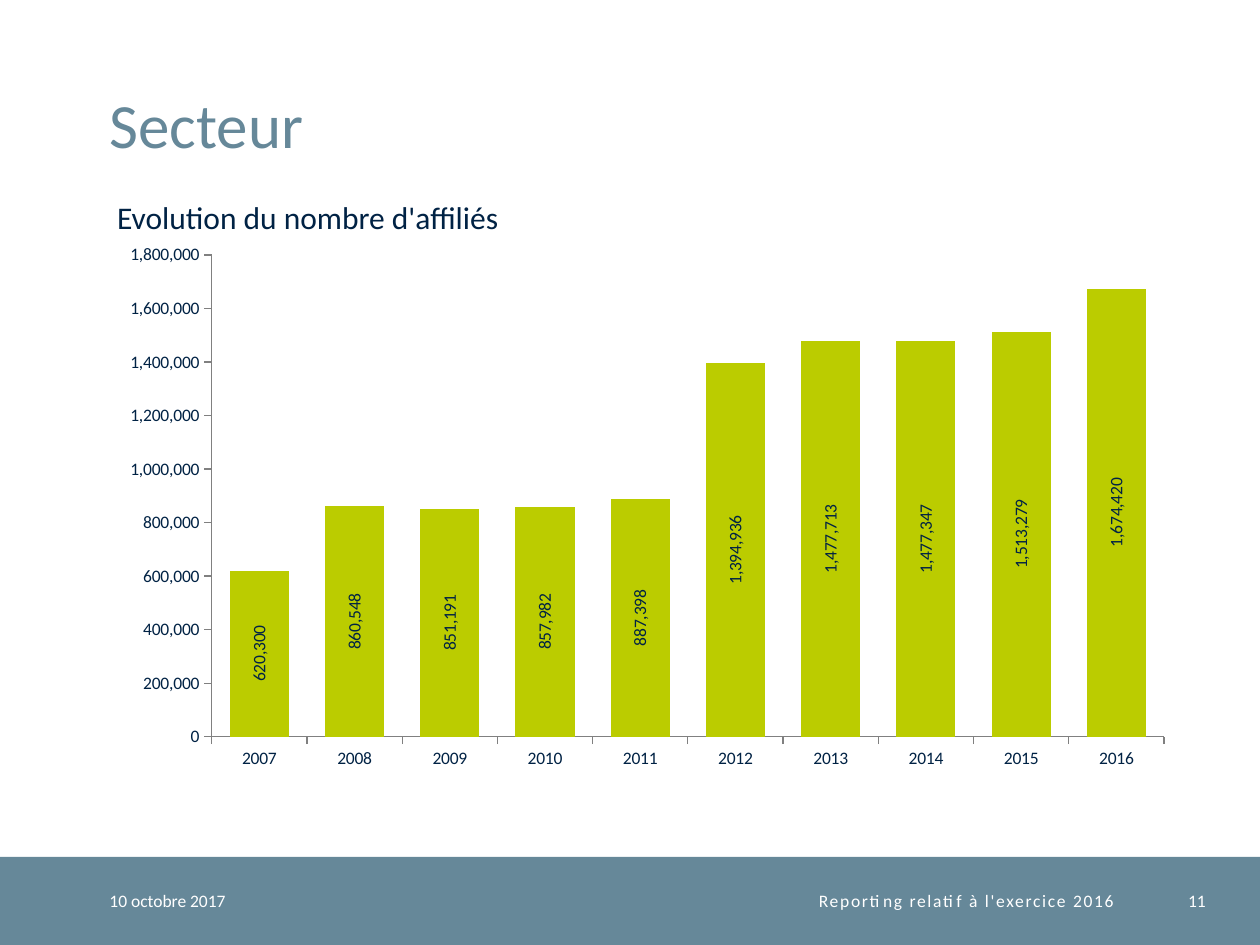
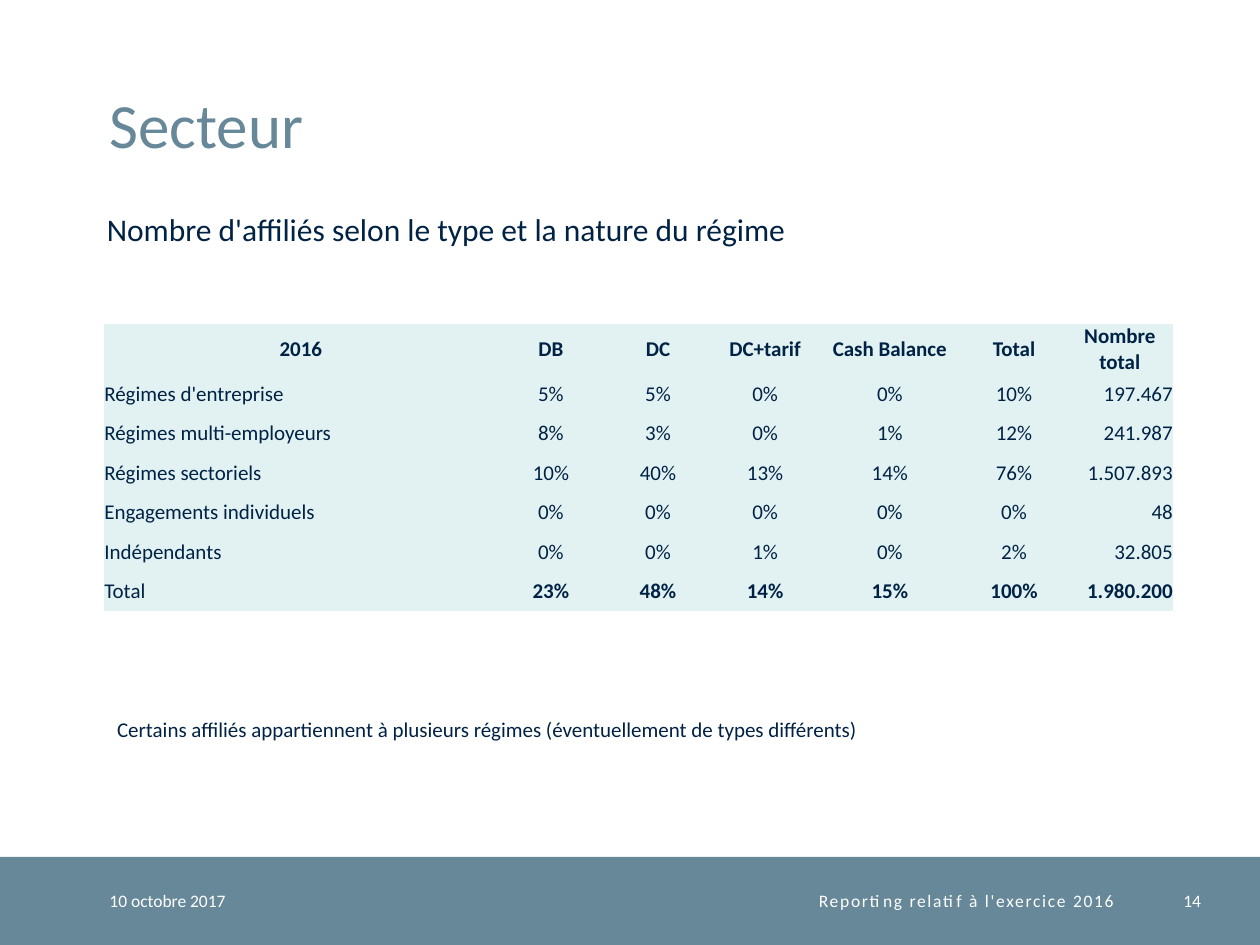
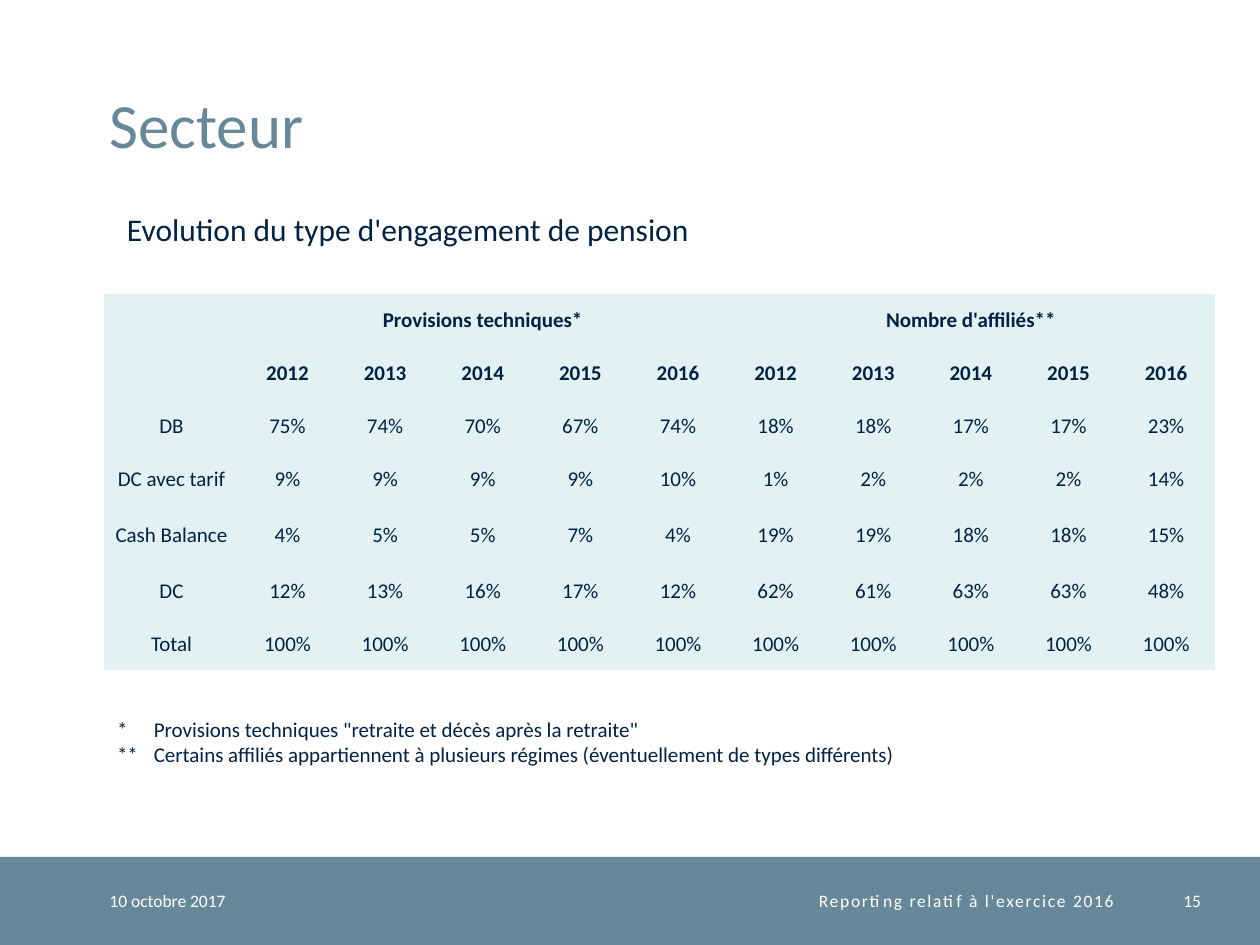
"""Build three slides on the pension sector: a chart and two tables."""
from pptx import Presentation
from pptx.chart.data import CategoryChartData
from pptx.dml.color import RGBColor
from pptx.enum.chart import XL_CHART_TYPE as ChartType, XL_LABEL_POSITION as LabelPosition
from pptx.enum.chart import XL_TICK_MARK as TickMark
from pptx.enum.shapes import MSO_SHAPE as Shape
from pptx.enum.text import MSO_ANCHOR as Anchor, MSO_AUTO_SIZE as AutoSize, PP_ALIGN as Align
from pptx.oxml import parse_xml
from pptx.oxml.ns import nsdecls, qn
from pptx.util import Pt

SLATE = RGBColor(0x66, 0x88, 0x99)
NAVY = RGBColor(0x00, 0x22, 0x44)
LIME = RGBColor(0xBB, 0xCC, 0x00)
PALE = RGBColor(0xE2, 0xF2, 0xF3)
GREY = RGBColor(0x80, 0x80, 0x80)
WHITE = RGBColor(0xFF, 0xFF, 0xFF)
FONT = "Calibri"
NO_TABLE_STYLE = "{2D5ABB26-0587-4C30-8999-92F81FD0307C}"
LEFT = 62.6
BAND_TOP, BAND_HEIGHT = 489.6, 50.4

YEARS = ["2007", "2008", "2009", "2010", "2011", "2012", "2013", "2014", "2015", "2016"]
AFFILIATES = [620300, 860548, 851191, 857982, 887398,
              1394936, 1477713, 1477347, 1513279, 1674420]

SCHEMES = [
    ["2016", "DB", "DC", "DC+tarif", "Cash Balance", "Total", "Nombre total"],
    ["Régimes d'entreprise", "5%", "5%", "0%", "0%", "10%", "197.467"],
    ["Régimes multi-employeurs", "8%", "3%", "0%", "1%", "12%", "241.987"],
    ["Régimes sectoriels", "10%", "40%", "13%", "14%", "76%", "1.507.893"],
    ["Engagements individuels", "0%", "0%", "0%", "0%", "0%", "48"],
    ["Indépendants", "0%", "0%", "1%", "0%", "2%", "32.805"],
    ["Total", "23%", "48%", "14%", "15%", "100%", "1.980.200"],
]

COMMITMENTS = [
    ["", "Provisions techniques*", "", "", "", "", "Nombre d'affiliés**", "", "", "", ""],
    [""] + YEARS[-5:] * 2,
    ["DB", "75%", "74%", "70%", "67%", "74%", "18%", "18%", "17%", "17%", "23%"],
    ["DC avec tarif", "9%", "9%", "9%", "9%", "10%", "1%", "2%", "2%", "2%", "14%"],
    ["Cash Balance", "4%", "5%", "5%", "7%", "4%", "19%", "19%", "18%", "18%", "15%"],
    ["DC", "12%", "13%", "16%", "17%", "12%", "62%", "61%", "63%", "63%", "48%"],
    ["Total"] + ["100%"] * 10,
]
OVERLAP_NOTE = "Certains affiliés appartiennent à plusieurs régimes (éventuellement de types différents)"


class Deck:
    """Hold the shared style and the current slide."""

    def __init__(self):
        self.presentation = Presentation()
        self.presentation.slide_width = Pt(720)
        self.presentation.slide_height = Pt(540)
        self.slide = None

    def style(self, font, size, color, bold=False):
        font.name, font.size, font.bold = FONT, Pt(size), bold
        font.color.rgb = color

    def text(self, left, top, width, height, lines, size, color, align=Align.LEFT, anchor=None):
        """Add a text box; an anchor makes it a fixed box without insets."""
        box = self.slide.shapes.add_textbox(Pt(left), Pt(top), Pt(width), Pt(height))
        frame = box.text_frame
        frame.word_wrap = True
        frame.text = lines
        if anchor is None:
            frame.auto_size = AutoSize.SHAPE_TO_FIT_TEXT
        else:
            frame.vertical_anchor = anchor
            frame.margin_left = frame.margin_right = frame.margin_top = frame.margin_bottom = 0
        for paragraph in frame.paragraphs:
            paragraph.alignment = align
            self.style(paragraph.font, size, color)
        return frame.paragraphs

    def footer(self, left, right, text, align=Align.RIGHT):
        return self.text(left, BAND_TOP, right - left, BAND_HEIGHT, text, 10, WHITE,
                         align, Anchor.MIDDLE)

    def new_slide(self, number, number_right=686.2):
        self.slide = self.presentation.slides.add_slide(self.presentation.slide_layouts[6])
        band = self.slide.shapes.add_shape(Shape.RECTANGLE, 0, Pt(BAND_TOP), Pt(720), Pt(BAND_HEIGHT))
        band.shadow.inherit = False
        band.fill.solid()
        band.fill.fore_color.rgb = SLATE
        band.line.fill.background()
        self.footer(LEFT, 190, "10 octobre 2017", Align.LEFT)
        report = self.footer(190, 636.5, "Reporting relatif à l'exercice 2016")
        report[0].runs[0]._r.get_or_add_rPr().set("spc", "100")
        self.footer(650, number_right, number)
        title = self.text(LEFT, 14.4, 621.4, 77.8, "Secteur", 36, SLATE, anchor=Anchor.BOTTOM)
        title[0].line_spacing = Pt(32)

    def subtitle(self, left, top, text):
        self.text(left, top, 607, 29, text, 18, NAVY)

    def note(self, lines):
        return self.text(59.8, 406, 629.3, 21.6, lines, 12, NAVY)

    def table(self, top, widths, heights, rows, bold, align):
        """Add a table; bold and align are rules of row and column."""
        frame = self.slide.shapes.add_table(len(rows), len(widths), Pt(59.6), Pt(top),
                                            Pt(sum(widths)), Pt(sum(heights)))
        table = frame.table
        table.first_row = table.horz_banding = False
        table._tbl.tblPr.find(qn("a:tableStyleId")).text = NO_TABLE_STYLE
        for column, width in zip(table.columns, widths):
            column.width = Pt(width)
        for r, values in enumerate(rows):
            table.rows[r].height = Pt(heights[r])
            for c, value in enumerate(values):
                cell = table.cell(r, c)
                cell.text = value
                cell.fill.solid()
                cell.fill.fore_color.rgb = PALE
                cell.vertical_anchor = Anchor.MIDDLE
                cell.margin_left = cell.margin_right = cell.margin_top = cell.margin_bottom = 0
                paragraph = cell.text_frame.paragraphs[0]
                paragraph.alignment = align(r, c)
                self.style(paragraph.font, 12, NAVY, bold(r, c))
        return table

    def column_chart(self, left, top, width, height, categories, values):
        data = CategoryChartData(number_format="#,##0")
        data.categories = categories
        data.add_series("Nombre d'affiliés", values)
        chart = self.slide.shapes.add_chart(ChartType.COLUMN_STACKED, Pt(left), Pt(top),
                                            Pt(width), Pt(height), data).chart
        chart.has_title = chart.has_legend = False
        self.style(chart.font, 10, NAVY)
        for axis in (chart.category_axis, chart.value_axis):
            axis.has_major_gridlines = False
            axis.major_tick_mark, axis.minor_tick_mark = TickMark.OUTSIDE, TickMark.NONE
            axis.format.line.color.rgb = GREY
        chart.value_axis.minimum_scale = 0
        chart.value_axis.tick_labels.number_format = "#,##0"
        chart.value_axis.tick_labels.number_format_is_linked = False
        plot = chart.plots[0]
        plot.gap_width, plot.overlap, plot.vary_by_categories = 61, 100, False
        fill = plot.series[0].format.fill
        fill.solid()
        fill.fore_color.rgb = LIME
        plot.has_data_labels = True
        labels = plot.data_labels
        labels.show_value, labels.position = True, LabelPosition.CENTER
        labels.number_format, labels.number_format_is_linked = "#,##0", False
        self.style(labels.font, 10, NAVY)
        body = labels._element.find(qn("c:txPr")).find(qn("a:bodyPr"))
        body.set("rot", "-5400000")
        body.set("vert", "horz")
        area = {"x": 0.095, "y": 0.038, "w": 0.885, "h": 0.883}
        sizes = "".join(f'<c:{key} val="{value}"/>' for key, value in area.items())
        chart._chartSpace.chart.plotArea.insert(0, parse_xml(
            f'<c:layout {nsdecls("c")}><c:manualLayout><c:layoutTarget val="inner"/>'
            f'<c:xMode val="edge"/><c:yMode val="edge"/>{sizes}</c:manualLayout></c:layout>'))


def affiliates_slide(deck):
    deck.new_slide("11", 689)
    deck.subtitle(59.8, 109.4, "Evolution du nombre d'affiliés")
    deck.column_chart(LEFT, 133.9, 614.9, 311.8, YEARS, AFFILIATES)


def schemes_slide(deck):
    def align(r, c):
        if r == 0 or 0 < c < 6:
            return Align.CENTER
        return Align.RIGHT if c == 6 else Align.LEFT

    deck.new_slide("14")
    deck.subtitle(54, 116.6, "Nombre d'affiliés selon le type et la nature du régime")
    deck.note(OVERLAP_NOTE)
    deck.table(185, [224.6] + [61.2] * 3 + [81.4] + [60.5] * 2, [22.6] * 7, SCHEMES,
               lambda r, c: r == 0 or (r == 6 and c > 0), align)


def commitments_slide(deck):
    deck.new_slide("15")
    table = deck.table(167.8, [76.8] + [55.8] * 10, [30.3] * 4 + [33.7] + [30.3] * 2,
                       COMMITMENTS, lambda r, c: r < 2, lambda r, c: Align.CENTER)
    table.cell(0, 0).merge(table.cell(1, 0))
    for first in (1, 6):
        table.cell(0, first).merge(table.cell(0, first + 4))
    deck.subtitle(65.5, 116.6, "Evolution du type d'engagement de pension")
    notes = deck.note('*\tProvisions techniques "retraite et décès après la retraite"\n'
                      f"**\t{OVERLAP_NOTE}")
    for paragraph in notes:
        properties = paragraph._p.get_or_add_pPr()
        properties.set("marL", str(Pt(21)))
        properties.set("indent", str(Pt(-21)))


def main():
    deck = Deck()
    affiliates_slide(deck)
    schemes_slide(deck)
    commitments_slide(deck)
    deck.presentation.save("out.pptx")


if __name__ == "__main__":
    main()
